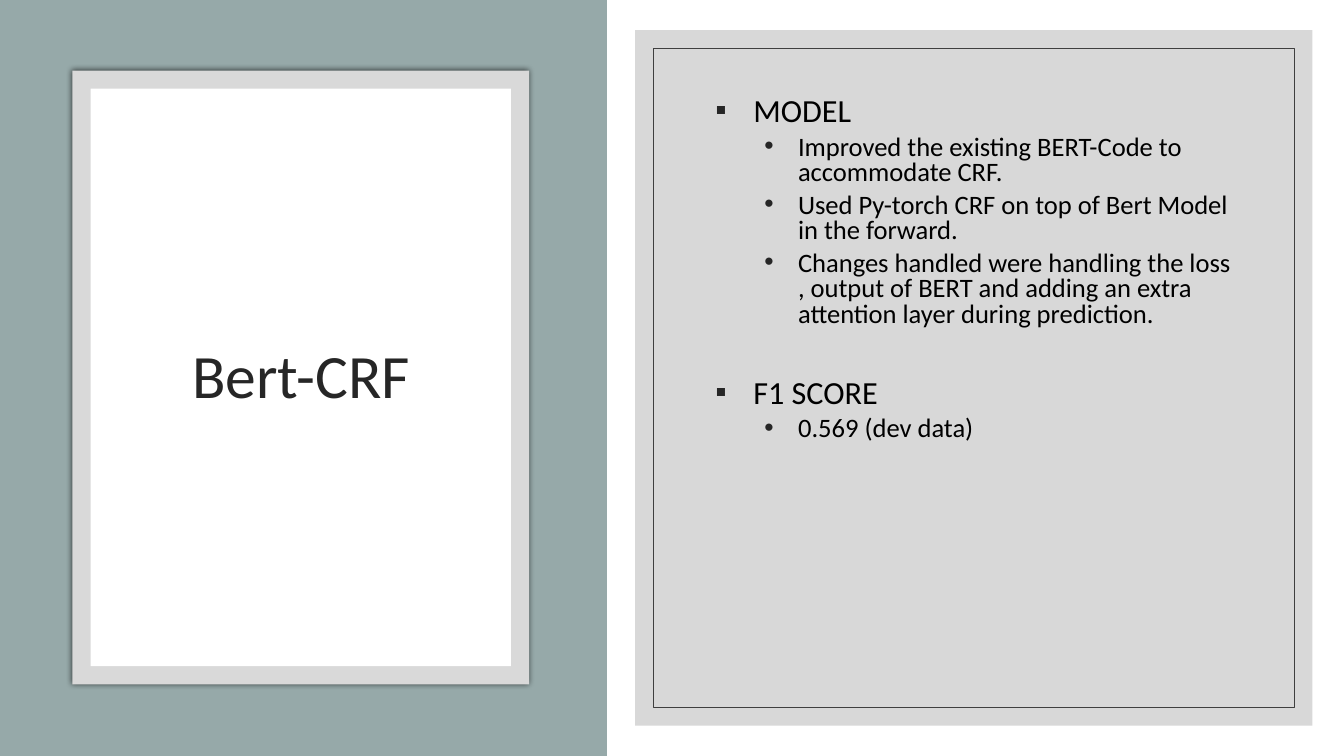
from lxml.etree import SubElement
from pptx import Presentation
from pptx.dml.color import RGBColor
from pptx.enum.shapes import MSO_SHAPE as Shape
from pptx.enum.text import MSO_ANCHOR as Anchor, PP_ALIGN as Align
from pptx.oxml.ns import qn
from pptx.util import Pt

COLORS = {
    "white": "FFFFFF",
    "sage": "96A9A9",
    "frame": "D9D9D9",
    "panel": "BFBFBF",
    "outline": "3F3F3F",
    "title": "262626",
    "text": "000000",
}
FONT = "Calibri"
FRAME_INSET = 13
LEVELS = [
    {"size": 23, "margin": 27, "indent": -27, "before": 9, "bullet": "▪"},
    {"size": 19, "margin": 59, "indent": -24, "before": 5, "bullet": "•"},
]
SECTION_GAP = 36.5
SECTIONS = [
    ("MODEL", [
        "Improved the existing BERT-Code to accommodate CRF.",
        "Used Py-torch CRF on top of Bert Model in the forward.",
        "Changes handled were handling the loss , output of BERT and adding "
        "an extra attention layer during prediction.",
    ]),
    ("F1 SCORE", ["0.569 (dev data)"]),
]


def rgb(name):
    return RGBColor.from_string(COLORS[name])


def inset(bounds, gap):
    left, top, width, height = bounds
    return left + gap, top + gap, width - 2 * gap, height - 2 * gap


def add_rectangle(page, bounds, fill=None, line=None):
    shape = page.shapes.add_shape(Shape.RECTANGLE, *map(Pt, bounds))
    shape.shadow.inherit = False
    if fill:
        shape.fill.solid()
        shape.fill.fore_color.rgb = rgb(fill)
    else:
        shape.fill.background()
    if line:
        shape.line.color.rgb = rgb(line)
        shape.line.width = Pt(0.75)
    else:
        shape.line.fill.background()
    return shape


def set_opacity(color, percent):
    SubElement(color, qn("a:alpha")).set("val", str(percent * 1000))


def add_glow_shadow(shape, blur, percent):
    effects = shape._element.spPr.find(qn("a:effectLst"))
    shadow = SubElement(effects, qn("a:outerShdw"), blurRad=str(Pt(blur)), dist="0")
    color = SubElement(shadow, qn("a:srgbClr"), val=COLORS["text"])
    set_opacity(color, percent)


def add_text_box(page, bounds, anchor):
    box = page.shapes.add_textbox(*map(Pt, bounds))
    box.text_frame.word_wrap = True
    box.text_frame.vertical_anchor = anchor
    return box


def format_paragraph(para, size, color, spacing):
    para.line_spacing = spacing
    for span in para.runs:
        span.font.name = FONT
        span.font.size = Pt(size)
        span.font.color.rgb = rgb(color)


def add_bullet(para, level):
    style = LEVELS[level]
    props = para._p.get_or_add_pPr()
    props.set("marL", str(Pt(style["margin"])))
    props.set("indent", str(Pt(style["indent"])))
    color = SubElement(props, qn("a:buClr"))
    SubElement(color, qn("a:srgbClr"), val=COLORS["title"])
    SubElement(props, qn("a:buFont"), typeface="Arial")
    SubElement(props, qn("a:buChar"), char=style["bullet"])


def add_title(page, bounds, text):
    box = add_text_box(page, bounds, Anchor.MIDDLE)
    box.text_frame.text = text
    para = box.text_frame.paragraphs[0]
    para.alignment = Align.CENTER
    format_paragraph(para, 44, "title", 0.9)


def add_outline(page, bounds, sections):
    frame = add_text_box(page, bounds, Anchor.TOP).text_frame
    for number, (heading, points) in enumerate(sections):
        entries = [(heading, 0)] + [(point, 1) for point in points]
        for text, level in entries:
            first = number == 0 and level == 0
            para = frame.paragraphs[0] if first else frame.add_paragraph()
            para.text = text
            para.level = level
            add_bullet(para, level)
            format_paragraph(para, LEVELS[level]["size"], "text", 0.8)
            if not first:
                before = LEVELS[level]["before"] if level else SECTION_GAP
                para.space_before = Pt(before)


def main():
    deck = Presentation()
    deck.slide_width, deck.slide_height = Pt(960), Pt(540)
    page = deck.slides.add_slide(deck.slide_layouts[6])

    add_rectangle(page, (0, 0, 960, 540), "white")
    add_rectangle(page, (-0.5, 0, 434, 540), "sage")

    card = (51.8, 50.4, 326.2, 438.5)
    add_glow_shadow(add_rectangle(page, card, "frame"), 4, 66)
    add_rectangle(page, inset(card, FRAME_INSET), "white")
    add_title(page, (77.8, 93.6, 275, 353.5), "Bert-CRF")

    panel = (453.6, 21.6, 483.8, 496.8)
    backdrop = add_rectangle(page, panel, "panel")
    set_opacity(backdrop._element.spPr.find(qn("a:solidFill"))[0], 60)
    add_rectangle(page, inset(panel, FRAME_INSET), line="outline")
    add_outline(page, (504, 66.5, 383.8, 327), SECTIONS)

    deck.save("out.pptx")


if __name__ == "__main__":
    main()
